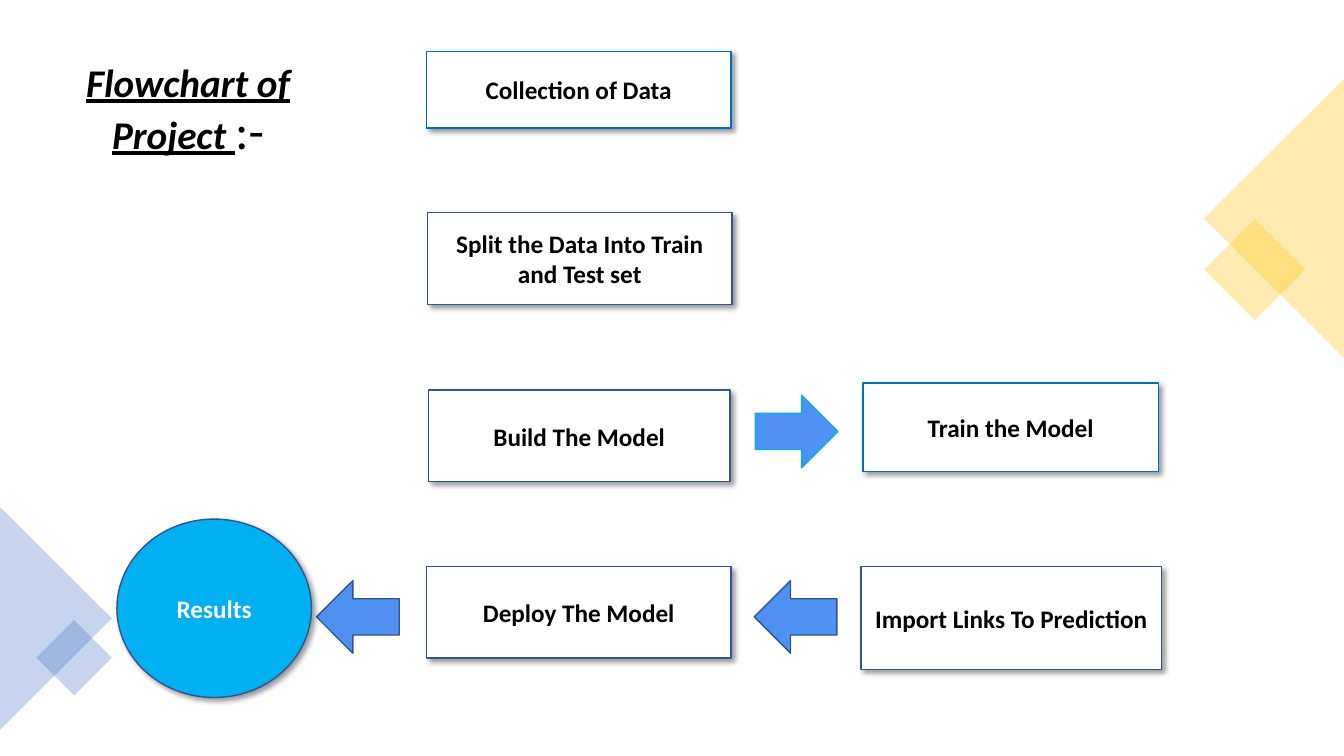
from lxml import etree
from pptx import Presentation
from pptx.dml.color import RGBColor
from pptx.enum.shapes import MSO_SHAPE
from pptx.enum.text import MSO_ANCHOR, MSO_AUTO_SIZE, PP_ALIGN
from pptx.oxml import parse_xml
from pptx.oxml.ns import nsdecls, qn
from pptx.util import Inches, Pt

COLORS = {
    "white": "FFFFFF", "black": "000000", "gold": "FFC000", "slate": "4472C4",
    "blue": "0070C0", "navy": "325491", "sky": "00B0F0", "arrow": "4E91F0",
}
SHADOW = (
    f'<a:effectLst {nsdecls("a")}><a:outerShdw blurRad="50800" dist="38100" '
    'dir="2700000" algn="tl" rotWithShape="0"><a:srgbClr val="000000">'
    '<a:alpha val="40000"/></a:srgbClr></a:outerShdw></a:effectLst>'
)


def rgb(name):
    return RGBColor.from_string(COLORS[name])


def add_shape(kind, box, fill, line=None):
    """Add a shadowless preset shape; without a line colour it has no outline."""
    sp = s.shapes.add_shape(kind, *map(Inches, box))
    sp.shadow.inherit = False
    sp.fill.solid()
    sp.fill.fore_color.rgb = rgb(fill)
    if line:
        sp.line.color.rgb = rgb(line)
        sp.line.width = Pt(1)
    else:
        sp.line.fill.background()
    return sp


prs = Presentation()
prs.slide_width, prs.slide_height = Inches(13.33), Inches(7.5)
s = prs.slides.add_slide(prs.slide_layouts[5])

# Title
title = s.shapes.title
title.left, title.top, title.width, title.height = map(Inches, (0.47, 0.51, 2.79, 1.2))
tf = title.text_frame
tf.word_wrap = True
tf.auto_size = MSO_AUTO_SIZE.NONE
tf.vertical_anchor = MSO_ANCHOR.MIDDLE
p = tf.paragraphs[0]
p.alignment = PP_ALIGN.CENTER
p.line_spacing = 0.9
for words, size, styled in (("Flowchart of Project ", 28, True), (":-", 36, False)):
    r = p.add_run()
    r.text = words
    r.font.name, r.font.size = "Calibri", Pt(size)
    r.font.color.rgb = rgb("black")
    r.font.bold = r.font.italic = r.font.underline = styled

# Translucent corner decorations
decorations = [
    (MSO_SHAPE.RECTANGLE, (12.09, 2.32, 0.71, 0.71), 45, "gold"),
    (MSO_SHAPE.ISOSCELES_TRIANGLE, (11.25, 1.47, 2.77, 1.39), 270, "gold"),
    (MSO_SHAPE.ISOSCELES_TRIANGLE, (-0.55, 5.58, 2.21, 1.11), 90, "slate"),
    (MSO_SHAPE.RECTANGLE, (0.47, 6.26, 0.53, 0.53), 45, "slate"),
]
for kind, box, angle, color in decorations:
    sp = add_shape(kind, box, color)
    sp.rotation = angle
    clr = sp.fill._xPr.find(qn("a:solidFill"))[0]
    etree.SubElement(clr, qn("a:alpha")).set("val", "30000")

# Arrows between steps
arrows = [
    (MSO_SHAPE.RIGHT_ARROW, 7.49, 3.92, "sky"),
    (MSO_SHAPE.LEFT_ARROW, 7.48, 5.76, "navy"),
    (MSO_SHAPE.LEFT_ARROW, 3.14, 5.76, "navy"),
]
for kind, left, top, line in arrows:
    add_shape(kind, (left, top, 0.82, 0.72), "arrow", line)

# Steps
RECT, OVAL = MSO_SHAPE.RECTANGLE, MSO_SHAPE.OVAL
steps = [
    ("Collection of Data", RECT, (4.23, 0.51, 3.02, 0.76), "white", "blue", "black"),
    ("Split the Data Into Train and Test set", RECT, (4.24, 2.11, 3.02, 0.91),
     "white", "navy", "black"),
    ("Build The Model", RECT, (4.25, 3.87, 2.99, 0.91), "white", "navy", "black"),
    ("Train the Model", RECT, (8.56, 3.8, 2.93, 0.88), "white", "blue", "black"),
    ("Import Links To Prediction", RECT, (8.54, 5.62, 2.98, 1.02), "white", "navy", "black"),
    ("Deploy The Model", RECT, (4.23, 5.62, 3.02, 0.91), "white", "navy", "black"),
    ("Results", OVAL, (1.16, 5.15, 1.93, 1.77), "sky", "navy", "white"),
]
for label, kind, box, fill, line, ink in steps:
    sp = add_shape(kind, box, fill, line)
    spPr = sp._element.spPr
    spPr.replace(spPr.find(qn("a:effectLst")), parse_xml(SHADOW))
    tf = sp.text_frame
    tf.word_wrap = True
    tf.vertical_anchor = MSO_ANCHOR.MIDDLE
    tf.text = label
    p = tf.paragraphs[0]
    p.alignment = PP_ALIGN.CENTER
    font = p.runs[0].font
    font.name, font.size, font.bold = "Calibri", Pt(18), True
    font.color.rgb = rgb(ink)

prs.save("out.pptx")
